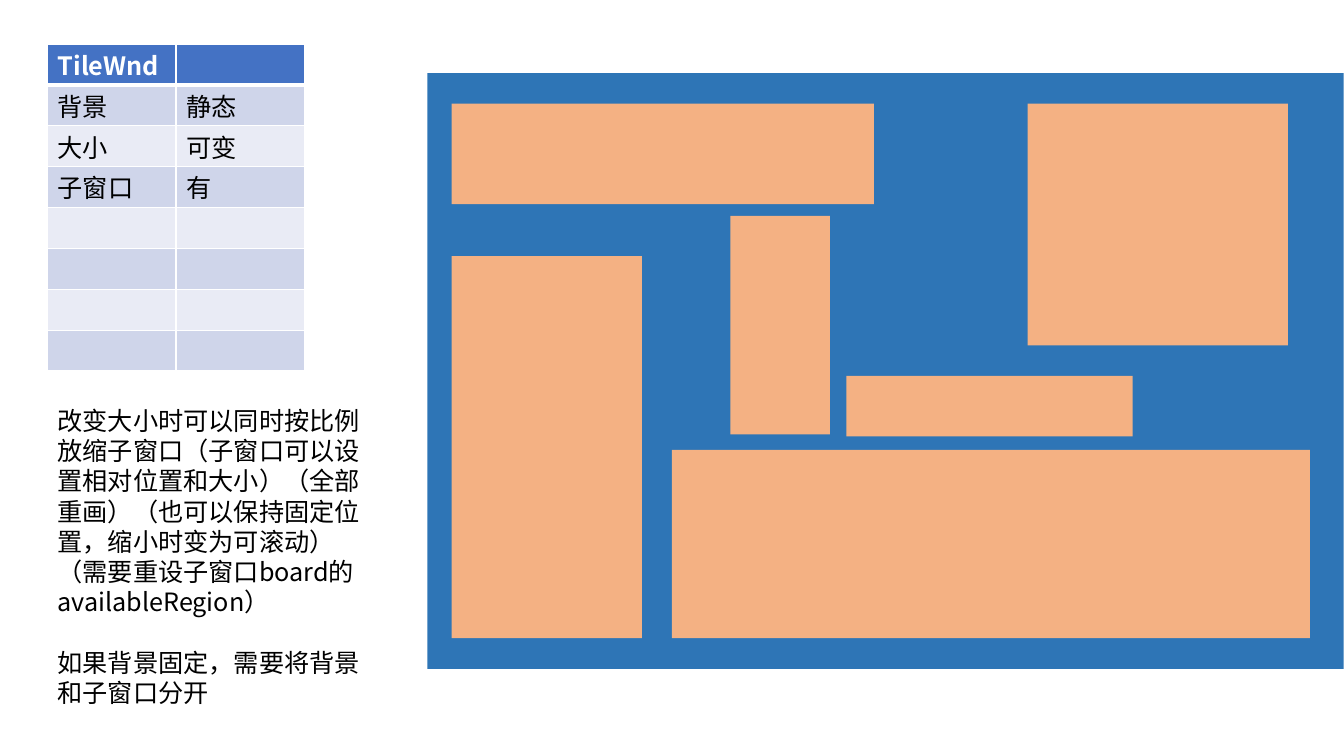
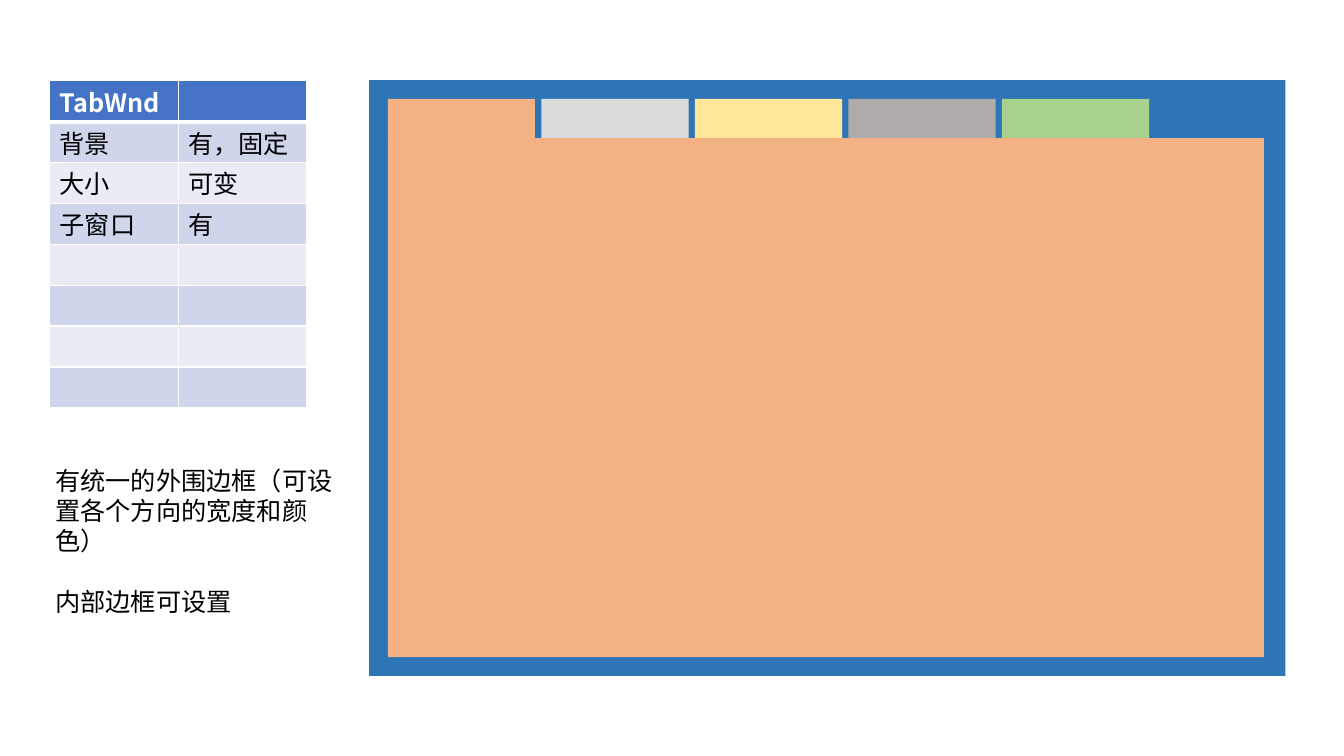
import pptx
import pptx.util
import pptx.dml.color
import pptx.enum.shapes
import pptx.oxml.ns
from lxml import etree

Pt = pptx.util.Pt
qn = pptx.oxml.ns.qn

HUES = {
    "head": "4472C4", "odd": "CFD5EA", "even": "E9EBF5",
    "frame": "2E75B6", "pane": "F4B183", "silver": "DBDBDB",
    "yellow": "FFE699", "gray": "AFABAB", "green": "A9D18E",
    "white": "FFFFFF", "black": "000000",
}


def rgb(hue):
    return pptx.dml.color.RGBColor.from_string(HUES[hue])


class Deck:
    font = "Noto Sans CJK SC"
    size = 18
    pitch = 21.6
    row = 29.2
    col = 91.8
    rows = 8

    def __init__(self):
        self.file = pptx.Presentation()
        self.file.slide_width = Pt(960)
        self.file.slide_height = Pt(540)

    def start(self):
        layout = self.file.slide_layouts[6]
        self.page = self.file.slides.add_slide(layout)

    def style(self, para, hue="black", bold=False):
        para.line_spacing = Pt(self.pitch)
        for run in para.runs:
            run.font.name = self.font
            run.font.size = Pt(self.size)
            run.font.bold = bold
            run.font.color.rgb = rgb(hue)
            east = etree.SubElement(run.font._element, qn("a:ea"))
            east.set("typeface", self.font)

    def rect(self, left, top, width, height, hue, group=None):
        shapes = (group or self.page).shapes
        kind = pptx.enum.shapes.MSO_SHAPE.RECTANGLE
        box = shapes.add_shape(kind, Pt(left), Pt(top), Pt(width), Pt(height))
        box.shadow.inherit = False
        box.fill.solid()
        box.fill.fore_color.rgb = rgb(hue)
        box.line.fill.background()

    def frame(self, left, top, group=None):
        self.rect(left, top, 654.5, 425.5, "frame", group)

    def note(self, left, top, width, height, blocks):
        """Write blocks of paragraphs, with one line of space between blocks."""
        box = self.page.shapes.add_textbox(Pt(left), Pt(top), Pt(width), Pt(height))
        frame = box.text_frame
        frame.word_wrap = True
        frame.text = "\n".join(line for block in blocks for line in block)
        for para in frame.paragraphs:
            self.style(para)
        first = 0
        for block in blocks[:-1]:
            first += len(block)
            frame.paragraphs[first].space_before = Pt(self.pitch)

    def edges(self, cell, low):
        """Draw white cell borders; low is the width of the bottom one."""
        props = cell._tc.get_or_add_tcPr()
        for side, width in (("L", 1), ("R", 1), ("T", 1), ("B", low)):
            line = etree.SubElement(props, qn("a:ln" + side), w=str(Pt(width)))
            fill = etree.SubElement(line, qn("a:solidFill"))
            etree.SubElement(fill, qn("a:srgbClr"), val=HUES["white"])

    def table(self, left, top, data):
        grid = self.page.shapes.add_table(
            self.rows, 2, Pt(left), Pt(top),
            Pt(2 * self.col), Pt(self.rows * self.row)).table
        for col in grid.columns:
            col.width = Pt(self.col)
        for y, row in enumerate(grid.rows):
            row.height = Pt(self.row)
            head = y == 0
            hue = "head" if head else "odd" if y % 2 else "even"
            words = data[y] if y < len(data) else ("", "")
            for cell, word in zip(row.cells, words):
                self.edges(cell, 3 if head else 1)
                cell.fill.solid()
                cell.fill.fore_color.rgb = rgb(hue)
                cell.margin_top, cell.margin_bottom = Pt(6), Pt(1)
                cell.text_frame.text = word
                self.style(cell.text_frame.paragraphs[0],
                           "white" if head else "black", head)


def tiles(deck):
    deck.start()
    deck.table(34, 31.4, [("TileWnd", ""), ("背景", "静态"),
                          ("大小", "可变"), ("子窗口", "有")])
    group = deck.page.shapes.add_group_shape()
    deck.frame(305.3, 52.2, group)
    for place in ((322.6, 74, 301.7, 71.8), (322.6, 182.9, 136, 273),
                  (734, 74, 186, 172.8), (480, 321.4, 455.7, 134.5),
                  (521.7, 154.2, 71.2, 156.2), (604.6, 268.5, 204.5, 43.2)):
        deck.rect(*place, "pane", group)
    deck.note(34, 286, 230.8, 225.4, [
        ["改变大小时可以同时按比例放缩子窗口（子窗口可以设置相对位置和大小）"
         "（全部重画）（也可以保持固定位置，缩小时变为可滚动）",
         "（需要重设子窗口board的availableRegion）"],
        ["如果背景固定，需要将背景和子窗口分开"]])


def tabs(deck):
    deck.start()
    deck.table(35.5, 57.7, [("TabWnd", ""), ("背景", "有，固定"),
                            ("大小", "可变"), ("子窗口", "有")])
    deck.frame(263.6, 57.3)
    left, top = 277.1, 70.6
    for i, hue in enumerate(("pane", "silver", "yellow", "gray", "green")):
        deck.rect(left + i * 109.65, top, 105.1, 28.5, hue)
    deck.rect(left, top + 28, 625.7, 370.8, "pane")
    deck.note(32.4, 328.5, 221.8, 116.6, [
        ["有统一的外围边框（可设置各个方向的宽度和颜色）"],
        ["内部边框可设置"]])


def main():
    deck = Deck()
    tiles(deck)
    tabs(deck)
    deck.file.save("out.pptx")


if __name__ == "__main__":
    main()
